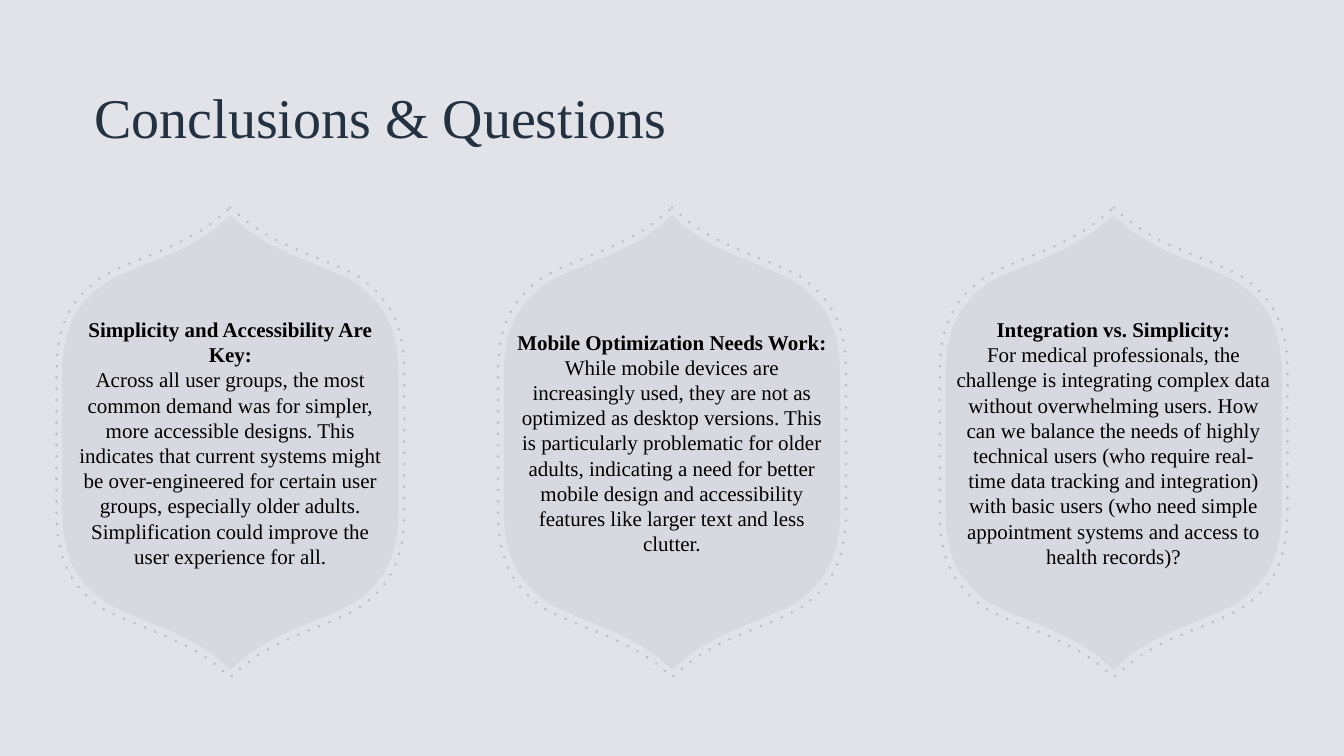
from dataclasses import dataclass

from lxml import etree
from pptx import Presentation
from pptx.dml.color import RGBColor
from pptx.enum.text import MSO_ANCHOR, PP_ALIGN
from pptx.oxml.ns import qn
from pptx.util import Inches, Pt

Point = tuple[float, float]

MIDDLE = MSO_ANCHOR.MIDDLE
CENTER = PP_ALIGN.CENTER
LEFT = PP_ALIGN.LEFT

FONT = "Times New Roman"
BACKGROUND, ACCENT, TITLE_COLOR, BODY_COLOR = "E2E3E8", "A2A5B5", "243141", "000000"

FIRST_CENTER, CENTER_STEP, CENTER_Y = 2.285, 4.38, 4.39
INNER_SCALE = 0.967
CURVE_STEPS = 12

# Upper right quarter of a badge, measured from its centre
TIP = (0, -2.33)
SHOULDER_CURVES = [
    [(0.15, -2.2), (0.53, -1.91), (0.95, -1.83), (1.28, -1.64)],
    [(1.28, -1.64), (1.58, -1.42), (1.725, -1.18), (1.725, -0.68)],
]


@dataclass
class Conclusion:
    heading: str
    body: str


CONCLUSIONS = [
    Conclusion(
        "Simplicity and Accessibility Are Key:",
        "Across all user groups, the most common demand was for simpler, more accessible "
        "designs. This indicates that current systems might be over-engineered for certain "
        "user groups, especially older adults. Simplification could improve the user "
        "experience for all.",
    ),
    Conclusion(
        "Mobile Optimization Needs Work:",
        "While mobile devices are increasingly used, they are not as optimized as desktop "
        "versions. This is particularly problematic for older adults, indicating a need for "
        "better mobile design and accessibility features like larger text and less clutter.",
    ),
    Conclusion(
        "Integration vs. Simplicity:",
        "For medical professionals, the challenge is integrating complex data without "
        "overwhelming users. How can we balance the needs of highly technical users (who "
        "require real-time data tracking and integration) with basic users (who need simple "
        "appointment systems and access to health records)?",
    ),
]


def color(value: str) -> RGBColor:
    return RGBColor.from_string(value)


def curve_point(curve: list[Point], t: float) -> Point:
    weights = [(1 - t) ** 3, 3 * t * (1 - t) ** 2, 3 * t * t * (1 - t), t ** 3]
    return (
        sum(weight * x for weight, (x, _) in zip(weights, curve)),
        sum(weight * y for weight, (_, y) in zip(weights, curve)),
    )


def badge_outline() -> list[Point]:
    """Mirror the quarter down and then to the left."""
    quarter = [TIP, SHOULDER_CURVES[0][0]]
    for curve in SHOULDER_CURVES:
        quarter += [curve_point(curve, step / CURVE_STEPS) for step in range(1, CURVE_STEPS + 1)]
    right = quarter + [(x, -y) for x, y in reversed(quarter)]
    return right + [(-x, y) for x, y in right[-2:0:-1]]


def add_badge(page, center_x: float, scale: float):
    points = [
        (Inches(center_x + x * scale), Inches(CENTER_Y + y * scale)) for x, y in badge_outline()
    ]
    builder = page.shapes.build_freeform(*points[0])
    builder.add_line_segments(points[1:], close=True)
    badge = builder.convert_to_shape()
    badge.shadow.inherit = False
    return badge


def set_alpha(color_format_parent, percent: int) -> None:
    rgb = color_format_parent.find(".//" + qn("a:srgbClr"))
    etree.SubElement(rgb, qn("a:alpha"), val=str(percent * 1000))


def style_border(badge) -> None:
    badge.fill.background()
    badge.line.width = Pt(2)
    badge.line.color.rgb = color(ACCENT)
    outline = badge.line._get_or_add_ln()
    outline.set("cap", "rnd")
    set_alpha(outline, 64)
    etree.SubElement(outline, qn("a:prstDash"), val="dot")


def style_panel(badge) -> None:
    badge.line.fill.background()
    badge.fill.solid()
    badge.fill.fore_color.rgb = color(ACCENT)
    set_alpha(badge._element.spPr.find(qn("a:solidFill")), 15)


def write_paragraph(para, text: str, size: float, ink: str, align, bold: bool = False) -> None:
    para.text = text
    para.alignment = align
    for span in para.runs:
        span.font.name = FONT
        span.font.size = Pt(size)
        span.font.bold = bold
        span.font.color.rgb = color(ink)


def write_conclusion(panel, conclusion: Conclusion) -> None:
    frame = panel.text_frame
    frame.word_wrap = True
    frame.vertical_anchor = MIDDLE
    write_paragraph(frame.paragraphs[0], conclusion.heading, 15, BODY_COLOR, CENTER, True)
    write_paragraph(frame.add_paragraph(), conclusion.body, 15, BODY_COLOR, CENTER)


def add_title(page, text: str) -> None:
    box = page.shapes.add_textbox(Inches(0.84), Inches(0.33), Inches(7.16), Inches(1.65))
    box.text_frame.word_wrap = True
    box.text_frame.vertical_anchor = MIDDLE
    write_paragraph(box.text_frame.paragraphs[0], text, 40, TITLE_COLOR, LEFT)


def main() -> None:
    deck = Presentation()
    deck.slide_width, deck.slide_height = Inches(13.33), Inches(7.5)
    page = deck.slides.add_slide(deck.slide_layouts[6])
    page.background.fill.solid()
    page.background.fill.fore_color.rgb = color(BACKGROUND)

    add_title(page, "Conclusions & Questions")

    # Dotted border with a tinted text panel inside
    for index, conclusion in enumerate(CONCLUSIONS):
        center_x = FIRST_CENTER + index * CENTER_STEP
        style_border(add_badge(page, center_x, 1))
        panel = add_badge(page, center_x, INNER_SCALE)
        style_panel(panel)
        write_conclusion(panel, conclusion)

    deck.save("out.pptx")


if __name__ == "__main__":
    main()
